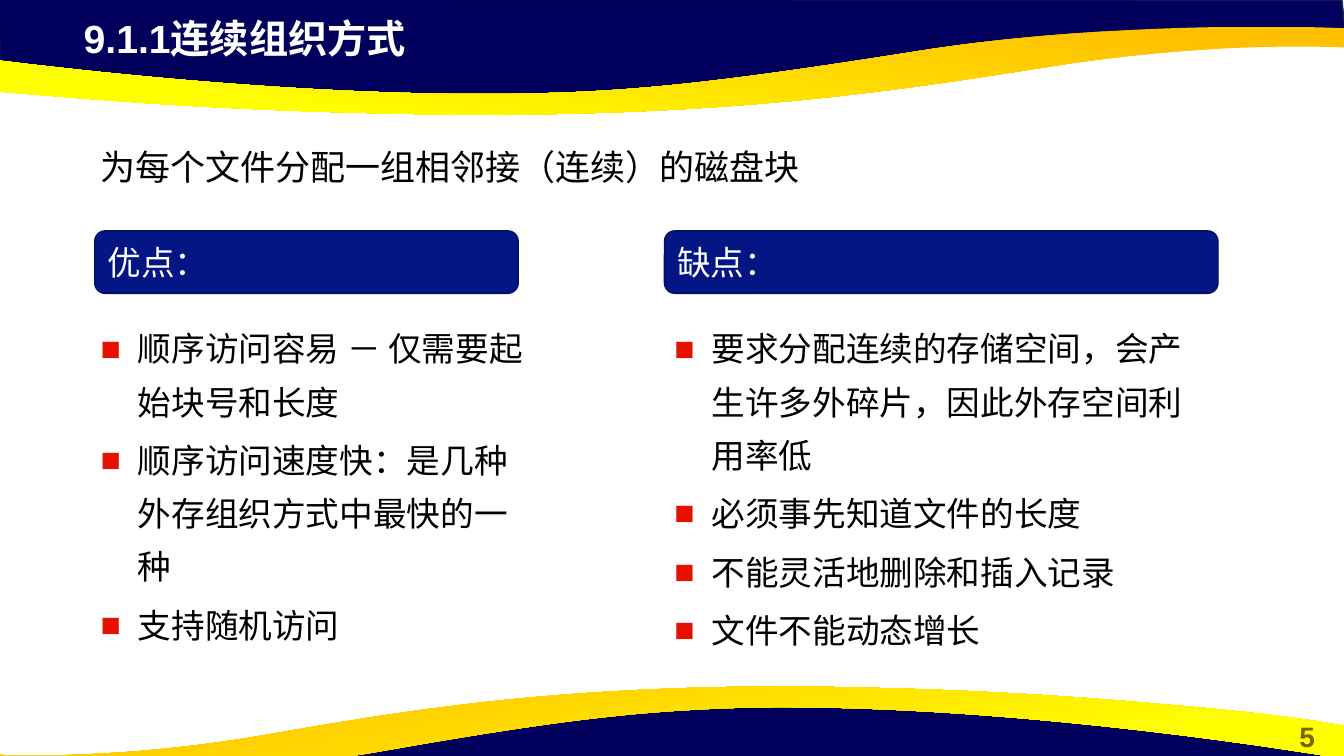
from lxml import etree
from pptx import Presentation
from pptx.dml.color import RGBColor
from pptx.enum.shapes import MSO_SHAPE
from pptx.enum.text import MSO_ANCHOR, PP_ALIGN
from pptx.oxml.ns import qn
from pptx.util import Inches, Pt

ROUNDED = MSO_SHAPE.ROUNDED_RECTANGLE
TOP, MIDDLE = MSO_ANCHOR.TOP, MSO_ANCHOR.MIDDLE
LEFT, CENTER = PP_ALIGN.LEFT, PP_ALIGN.CENTER
FONT = "Arial"

COLORS = {
    "navy": "00005C", "navy_edge": "05304F",
    "orange": "FFC000", "yellow": "FFFF00",
    "heading": "031684", "heading_edge": "021062",
    "bullet": "E71101", "number": "806000",
    "white": "FFFFFF", "black": "000000",
}

# Outlines in inches: a pair is a corner, six numbers are a Bézier curve
TOP_NAVY = [
    (-0.01, -0.01), (0, 0.7), (2.93, 1.02), (5.59, 1), (7.95, 0.88),
    (10.16, 0.5), (12.38, 0.33), (13.35, 0.38), (13.31, 0),
]
TOP_GOLD = [
    (4.83, 1.14), (4.43, 1.14, 4.01, 1.13, 3.56, 1.12),
    (2.06, 1.08, 1.1, 1, 0.36, 0.94), (-0.88, 0.84, -1.3, 0.75, -1.33, 0.75),
    (-1.33, 0.42, -1.33, 0.42, -1.33, 0.42), (-1.33, 0.42, 2.18, 0.98, 5.17, 0.93),
    (6.26, 0.91, 7.08, 0.83, 9.15, 0.5), (11.21, 0.18, 13.33, 0.28, 13.33, 0.28),
    (13.33, 0.32), (13.33, 0.47), (13.3, 0.47),
    (13.05, 0.46, 11.95, 0.43, 10.55, 0.64), (9.18, 0.85, 7.62, 1.13, 4.83, 1.14),
]
BOTTOM_NAVY = [
    (13.33, 7.94), (13.32, 7.24), (10.4, 6.91), (7.73, 6.93), (5.38, 7.06),
    (3.17, 7.43), (0.95, 7.6), (-0.03, 7.56), (0.01, 7.93),
]
BOTTOM_GOLD = [
    (7.72, 6.81), (8.09, 6.81, 8.47, 6.82, 8.88, 6.83),
    (10.25, 6.87, 11.12, 6.95, 11.79, 7.01), (12.92, 7.11, 13.3, 7.2, 13.33, 7.2),
    (13.33, 7.53, 13.33, 7.53, 13.33, 7.53), (13.33, 7.53, 10.14, 6.97, 7.42, 7.02),
    (6.42, 7.05, 5.67, 7.12, 3.8, 7.45), (1.92, 7.78, -0.01, 7.68, -0.01, 7.68),
    (-0.01, 7.64), (-0.01, 7.48), (0.02, 7.49),
    (0.25, 7.5, 1.25, 7.52, 2.52, 7.31), (3.76, 7.1, 5.19, 6.82, 7.72, 6.81),
]

ADVANTAGES = [
    "顺序访问容易 － 仅需要起始块号和长度",
    "顺序访问速度快：是几种外存组织方式中最快的一种",
    "支持随机访问",
]
DRAWBACKS = [
    "要求分配连续的存储空间，会产生许多外碎片，因此外存空间利用率低",
    "必须事先知道文件的长度",
    "不能灵活地删除和插入记录",
    "文件不能动态增长",
]


def rgb(name):
    return RGBColor.from_string(COLORS[name])


def add_wave(slide, outline):
    start, *rest = [(Inches(part[-2]), Inches(part[-1])) for part in outline]
    builder = slide.shapes.build_freeform(*start)
    builder.add_line_segments(rest, close=False)
    wave = builder.convert_to_shape()
    wave.shadow.inherit = False

    # Bend the sides that are curves, then close the outline
    path = wave.element.find(".//" + qn("a:path"))
    for side, part in zip(path.findall(qn("a:lnTo")), outline[1:]):
        if len(part) == 6:
            curve = etree.Element(qn("a:cubicBezTo"))
            for x, y in zip(part[::2], part[1::2]):
                etree.SubElement(curve, qn("a:pt"), x=str(Inches(x) - wave.left),
                                 y=str(Inches(y) - wave.top))
            path.replace(side, curve)
    etree.SubElement(path, qn("a:close"))
    return wave


def paint(shape, fill, edge):
    shape.fill.solid()
    shape.fill.fore_color.rgb = rgb(fill)
    shape.line.color.rgb = rgb(edge)
    shape.line.width = Pt(1)


def add_gold_wave(slide, outline, angle):
    wave = add_wave(slide, outline)
    wave.line.fill.background()
    wave.fill.gradient()
    wave.fill.gradient_angle = angle
    stops = ((0.11, "orange"), (0.78, "yellow"))
    for stop, (position, color) in zip(wave.fill.gradient_stops, stops):
        stop.position = position
        stop.color.rgb = rgb(color)


def add_run(paragraph, text, size, color, bold=False):
    run = paragraph.add_run()
    run.text = text
    run.font.name = FONT
    run.font.size = Pt(size)
    run.font.bold = bold
    run.font.color.rgb = rgb(color)


def write_line(shape, text, size, color, bold=False, align=LEFT, anchor=TOP):
    frame = shape.text_frame
    frame.word_wrap = True
    frame.vertical_anchor = anchor
    frame.paragraphs[0].alignment = align
    add_run(frame.paragraphs[0], text, size, color, bold)


def add_box(slide, left, top, width, height):
    return slide.shapes.add_textbox(
        Inches(left), Inches(top), Inches(width), Inches(height))


def add_heading(slide, text, left, width):
    heading = slide.shapes.add_shape(
        ROUNDED, Inches(left), Inches(2.29), Inches(width), Inches(0.62))
    heading.shadow.inherit = False
    paint(heading, "heading", "heading_edge")
    write_line(heading, text, 24, "white", anchor=MIDDLE)


def set_bullet(paragraph):
    properties = paragraph._p.get_or_add_pPr()
    properties.set("marL", str(Inches(0.37)))
    properties.set("indent", str(-Inches(0.37)))
    color = etree.SubElement(properties, qn("a:buClr"))
    etree.SubElement(color, qn("a:srgbClr"), val=COLORS["bullet"])
    etree.SubElement(properties, qn("a:buFont"), typeface=FONT)
    etree.SubElement(properties, qn("a:buChar"), char="■")


def add_bullets(slide, items, left, width, height):
    frame = add_box(slide, left, 3.08, width, height).text_frame
    frame.word_wrap = True
    frame.vertical_anchor = TOP
    for index, item in enumerate(items):
        paragraph = frame.add_paragraph() if index else frame.paragraphs[0]
        set_bullet(paragraph)
        paragraph.level = 1
        paragraph.line_spacing = 1.32
        paragraph.space_before = Pt(3.7 if index else 0)
        add_run(paragraph, item, 24, "black")


def add_title(slide, text):
    title = slide.shapes.title
    title.left, title.top = Inches(0.73), Inches(0.09)
    title.width, title.height = Inches(7.68), Inches(0.57)
    write_line(title, text, 28, "white", bold=True)
    # Bring the title in front of the waves
    title.element.getparent().append(title.element)


def main():
    deck = Presentation()
    deck.slide_width, deck.slide_height = Inches(13.33), Inches(7.5)
    slide = deck.slides.add_slide(deck.slide_layouts[5])

    # Waves along the top and bottom edges
    for navy, gold, angle in ((TOP_NAVY, TOP_GOLD, 260), (BOTTOM_NAVY, BOTTOM_GOLD, 280)):
        paint(add_wave(slide, navy), "navy", "navy_edge")
        add_gold_wave(slide, gold, angle)

    # Page number, title and definition
    write_line(add_box(slide, 12.6, 7.09, 0.73, 0.44), "5", 20, "number",
               bold=True, align=CENTER)
    add_title(slide, "9.1.1连续组织方式")
    write_line(add_box(slide, 0.9, 1.39, 7.87, 0.52),
               "为每个文件分配一组相邻接（连续）的磁盘块", 25, "black")

    # Advantages and drawbacks
    add_heading(slide, "优点：", 0.94, 4.2)
    add_heading(slide, "缺点：", 6.59, 5.49)
    add_bullets(slide, DRAWBACKS, 6.59, 5.49, 3.53)
    add_bullets(slide, ADVANTAGES, 0.9, 4.53, 3.13)

    deck.save("out.pptx")


if __name__ == "__main__":
    main()
